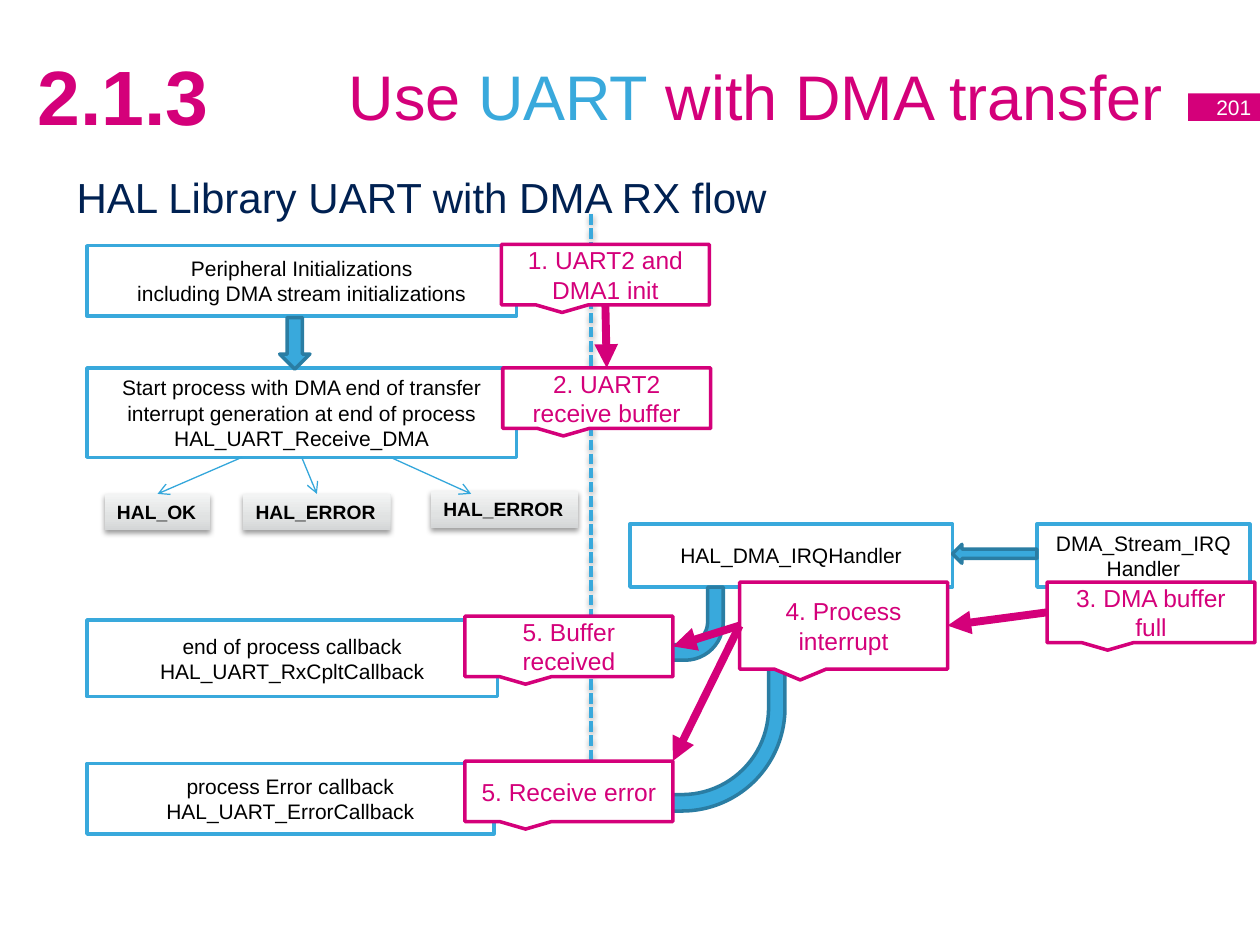
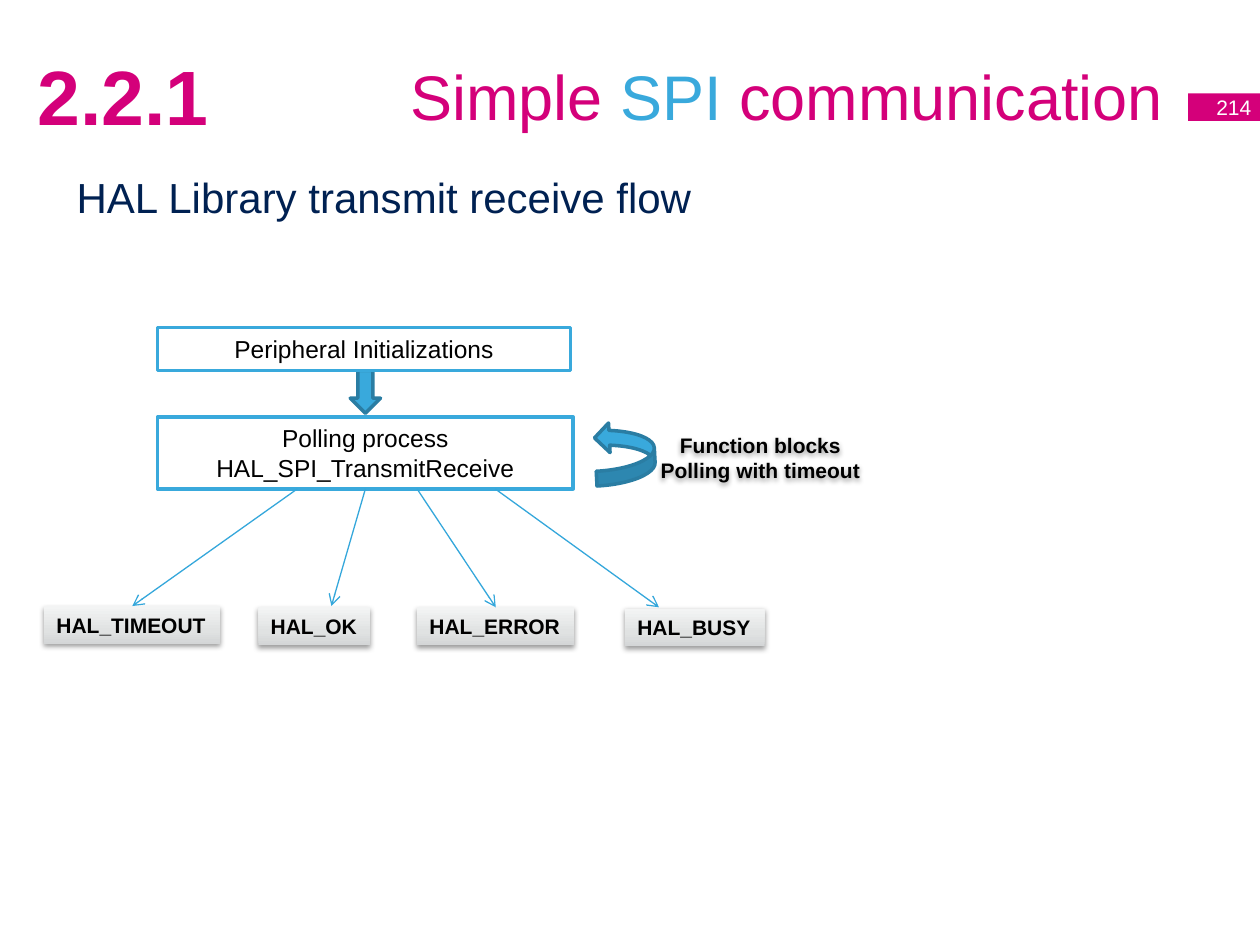
from copy import deepcopy
from dataclasses import dataclass

from lxml.etree import SubElement
from pptx import Presentation
from pptx.dml.color import RGBColor
from pptx.enum.dml import MSO_LINE
from pptx.enum.shapes import MSO_CONNECTOR, MSO_SHAPE as Preset
from pptx.enum.text import MSO_ANCHOR as Anchor, PP_ALIGN as Align
from pptx.oxml.ns import qn
from pptx.util import Inches, Pt


@dataclass(frozen=True)
class Theme:
    font: str = "Arial"
    magenta: str = "D4007A"
    blue: str = "39A9DC"
    thin_blue: str = "34A7DB"
    dark_blue: str = "2A7DA3"
    navy: str = "002152"
    white: str = "FFFFFF"
    black: str = "000000"
    tag_stops: tuple = ((0, "D4D6D7"), (0.35, "E0E2E2"), (1, "F3F4F4"))
    number_size: int = 44
    title_size: int = 36
    heading_size: int = 24
    large_size: int = 14
    body_size: int = 12
    small_size: int = 11
    outline: float = 2
    thin: float = 0.75
    thick: float = 4.5


THEME = Theme()
TOP, LEFT, BOTTOM, RIGHT = range(4)


def rgb(value):
    return RGBColor.from_string(value)


def inches(values):
    return [Inches(value) for value in values]


def write_text(shape, text, size=THEME.body_size, color=THEME.black, bold=False,
               align=Align.CENTER, anchor=Anchor.MIDDLE, wrap=True, accent=""):
    """Write one paragraph per line; the accent word is shown in blue."""
    frame = shape.text_frame
    frame.word_wrap = wrap
    frame.vertical_anchor = anchor
    for index, line in enumerate(text.split("\n")):
        paragraph = frame.add_paragraph() if index else frame.paragraphs[0]
        paragraph.alignment = align
        for part in line.partition(accent) if accent else [line]:
            run = paragraph.add_run()
            run.text = part
            font = run.font
            font.name, font.size, font.bold = THEME.font, Pt(size), bold
            font.color.rgb = rgb(THEME.blue if part == accent else color)


def add_label(slide, box, text, **text_format):
    label = slide.shapes.add_textbox(*inches(box))
    write_text(label, text, **text_format)
    return label


def add_block(slide, preset, box, fill, outline=None):
    block = slide.shapes.add_shape(preset, *inches(box))
    block.shadow.inherit = False
    block.fill.solid()
    block.fill.fore_color.rgb = rgb(fill)
    if outline:
        block.line.color.rgb = rgb(outline)
        block.line.width = Pt(THEME.outline)
    else:
        block.line.fill.background()
    return block


def cast_shadow(shape):
    properties = shape._element.spPr
    effects = properties.find(qn("a:effectLst"))
    if effects is None:
        effects = SubElement(properties, qn("a:effectLst"))
    shadow = SubElement(effects, qn("a:outerShdw"), blurRad=str(Pt(3.1)),
                        dist=str(Pt(1.6)), dir="5400000", rotWithShape="0")
    color = SubElement(shadow, qn("a:srgbClr"), val=THEME.black)
    SubElement(color, qn("a:alpha"), val="38000")


def add_step(slide, box, text, size=THEME.body_size):
    step = add_block(slide, Preset.RECTANGLE, box, THEME.white, THEME.blue)
    write_text(step, text, size=size)
    return step


def add_callout(slide, left, top, text, height=0.48):
    callout = add_block(slide, Preset.RECTANGULAR_CALLOUT, (left, top, 1.65, height),
                        THEME.white, THEME.magenta)
    write_text(callout, text, size=THEME.large_size, color=THEME.magenta)
    return callout


def add_status(slide, box, text, size=THEME.body_size):
    """Add a grey gradient tag with a return status."""
    status = add_block(slide, Preset.RECTANGLE, box, THEME.white)
    status.fill.gradient()
    status.fill.gradient_angle = 90
    stop_list = status._element.spPr.find(".//" + qn("a:gsLst"))
    stop_list.insert(1, deepcopy(stop_list[0]))
    for stop, (position, color) in zip(status.fill.gradient_stops, THEME.tag_stops):
        stop.position = position
        stop.color.rgb = rgb(color)
    cast_shadow(status)
    write_text(status, text, size=size, bold=True, align=Align.LEFT,
               anchor=Anchor.TOP, wrap=False)
    return status


def add_block_arrow(slide, preset, box, rotation=0, adjustments=()):
    arrow = add_block(slide, preset, box, THEME.blue, THEME.dark_blue)
    arrow.rotation = rotation
    for index, value in enumerate(adjustments):
        arrow.adjustments[index] = value


def add_line(slide, start, end, color, width, head=None):
    """Draw a line; each end is an (x, y) point or a (shape, side) pair."""
    line = slide.shapes.add_connector(MSO_CONNECTOR.STRAIGHT, 0, 0, 0, 0)
    if hasattr(start[0], "shape_id"):
        line.begin_connect(*start)
    else:
        line.begin_x, line.begin_y = inches(start)
    if hasattr(end[0], "shape_id"):
        line.end_connect(*end)
    else:
        line.end_x, line.end_y = inches(end)
    line.line.color.rgb = rgb(color)
    line.line.width = Pt(width)
    if head:
        SubElement(line.line._get_or_add_ln(), qn("a:tailEnd"), type=head)
    SubElement(line._element.spPr, qn("a:effectLst"))
    return line


def add_result_arrow(slide, start, end):
    add_line(slide, start, end, THEME.thin_blue, THEME.thin, "arrow")


def add_sequence_arrow(slide, start, end):
    add_line(slide, start, end, THEME.magenta, THEME.thick, "triangle")


def add_page(deck, chapter, title, accent, heading, page):
    slide = deck.slides.add_slide(deck.slide_layouts[6])
    add_label(slide, (0.5, 0.13, 8.83, 1.25), title, size=THEME.title_size,
              color=THEME.magenta, align=Align.RIGHT, accent=accent)
    add_label(slide, (0.51, 1.31, 9, 1.4), heading, size=THEME.heading_size,
              color=THEME.navy, align=Align.LEFT, anchor=Anchor.TOP)
    band = add_block(slide, Preset.RECTANGLE, (9.43, 0.74, 0.6, 0.22), THEME.magenta)
    write_text(band, page, color=THEME.white, align=Align.RIGHT, wrap=False)
    add_label(slide, (0.2, 0.13, 1.89, 1.25), chapter, size=THEME.number_size,
              color=THEME.magenta, bold=True, align=Align.LEFT)
    return slide


def build_uart_flow(deck):
    slide = add_page(deck, "2.1.3", "Use UART with DMA transfer", "UART",
                     "HAL Library UART with DMA RX flow", "201")
    start_process = add_step(
        slide, (0.69, 2.92, 3.41, 0.71),
        "Start process with DMA end of transfer interrupt generation at end of process\n"
        "HAL_UART_Receive_DMA")
    for box, text in (
        ((0.69, 1.95, 3.41, 0.56),
         "Peripheral Initializations\nincluding DMA stream initializations"),
        ((5, 4.16, 2.56, 0.5), "HAL_DMA_IRQHandler"),
        ((8.23, 4.16, 1.69, 0.5), "DMA_Stream_IRQHandler"),
        ((0.69, 4.92, 3.26, 0.61), "end of process callback\nHAL_UART_RxCpltCallback"),
        ((0.69, 6.06, 3.23, 0.56), "process Error callback\nHAL_UART_ErrorCallback"),
    ):
        add_step(slide, box, text)

    add_block_arrow(slide, Preset.DOWN_ARROW, (2.22, 2.52, 0.24, 0.41))
    add_block_arrow(slide, Preset.LEFT_ARROW, (7.56, 4.32, 0.67, 0.15))
    add_block_arrow(slide, Preset.BENT_ARROW, (3.87, 4.66, 1.87, 0.69), 180,
                    (0.18, 0.25, 0.25, 0.44))
    divider = add_line(slide, (4.69, 1.7), (4.69, 6.45), THEME.blue, THEME.outline)
    divider.line.dash_style = MSO_LINE.SQUARE_DOT
    cast_shadow(divider)
    add_block_arrow(slide, Preset.BENT_ARROW, (3.92, 4.66, 2.31, 1.86), 180,
                    (0.07, 0.08, 0.09, 0.44))

    ok, error, _ = [
        add_status(slide, box, text, THEME.small_size) for box, text in (
            ((0.83, 3.92, 0.84, 0.29), "HAL_OK"),
            ((1.93, 3.92, 1.17, 0.29), "HAL_ERROR"),
            ((3.42, 3.9, 1.17, 0.29), "HAL_ERROR"))]
    add_result_arrow(slide, (1.92, 3.63), (ok, TOP))
    add_result_arrow(slide, (start_process, BOTTOM), (error, TOP))
    add_result_arrow(slide, (3.1, 3.63), (3.74, 3.92))

    init = add_callout(slide, 3.98, 1.94, "1. UART2 and DMA1 init")
    receive = add_callout(slide, 3.99, 2.92, "2. UART2 receive buffer")
    buffer_full = add_callout(slide, 8.31, 4.62, "3. DMA buffer full")
    interrupt = add_callout(slide, 5.87, 4.62, "4. Process interrupt", height=0.69)
    received = add_callout(slide, 3.69, 4.89, "5. Buffer received")
    add_callout(slide, 3.69, 6.04, "5. Receive error")
    add_sequence_arrow(slide, (init, BOTTOM), (receive, TOP))
    add_sequence_arrow(slide, (buffer_full, LEFT), (interrupt, RIGHT))
    add_sequence_arrow(slide, (interrupt, LEFT), (received, RIGHT))
    add_sequence_arrow(slide, (interrupt, LEFT), (5.34, 6.04))


def build_spi_flow(deck):
    slide = add_page(deck, "2.2.1", "Simple SPI communication", "SPI",
                     "HAL Library transmit receive flow", "214")
    add_block_arrow(slide, Preset.DOWN_ARROW, (2.78, 2.94, 0.24, 0.34))
    add_block_arrow(slide, Preset.CURVED_UP_ARROW, (4.71, 3.36, 0.5, 0.47), 267)
    polling_note = add_label(slide, (5.13, 3.38, 1.81, 0.5),
                             "Function blocks\nPolling with timeout",
                             bold=True, anchor=Anchor.TOP, wrap=False)
    cast_shadow(polling_note)
    add_step(slide, (1.25, 2.6, 3.28, 0.34), "Peripheral Initializations",
             THEME.large_size)
    polling = add_step(slide, (1.25, 3.31, 3.3, 0.57),
                       "Polling process\nHAL_SPI_TransmitReceive", THEME.large_size)

    timeout, _, error, _ = [
        add_status(slide, (left, top, width, 0.3), text) for left, top, width, text in (
            (0.35, 4.81, 1.4, "HAL_TIMEOUT"),
            (2.05, 4.82, 0.89, "HAL_OK"),
            (3.31, 4.82, 1.25, "HAL_ERROR"),
            (4.96, 4.83, 1.11, "HAL_BUSY"))]
    add_result_arrow(slide, (2.36, 3.88), (timeout, TOP))
    add_result_arrow(slide, (polling, BOTTOM), (2.63, 4.81))
    add_result_arrow(slide, (3.31, 3.88), (error, TOP))
    add_result_arrow(slide, (3.93, 3.88), (5.23, 4.82))


def main():
    deck = Presentation()
    deck.slide_width, deck.slide_height = Inches(10), Inches(7.5)
    build_uart_flow(deck)
    build_spi_flow(deck)
    deck.save("out.pptx")


if __name__ == "__main__":
    main()
